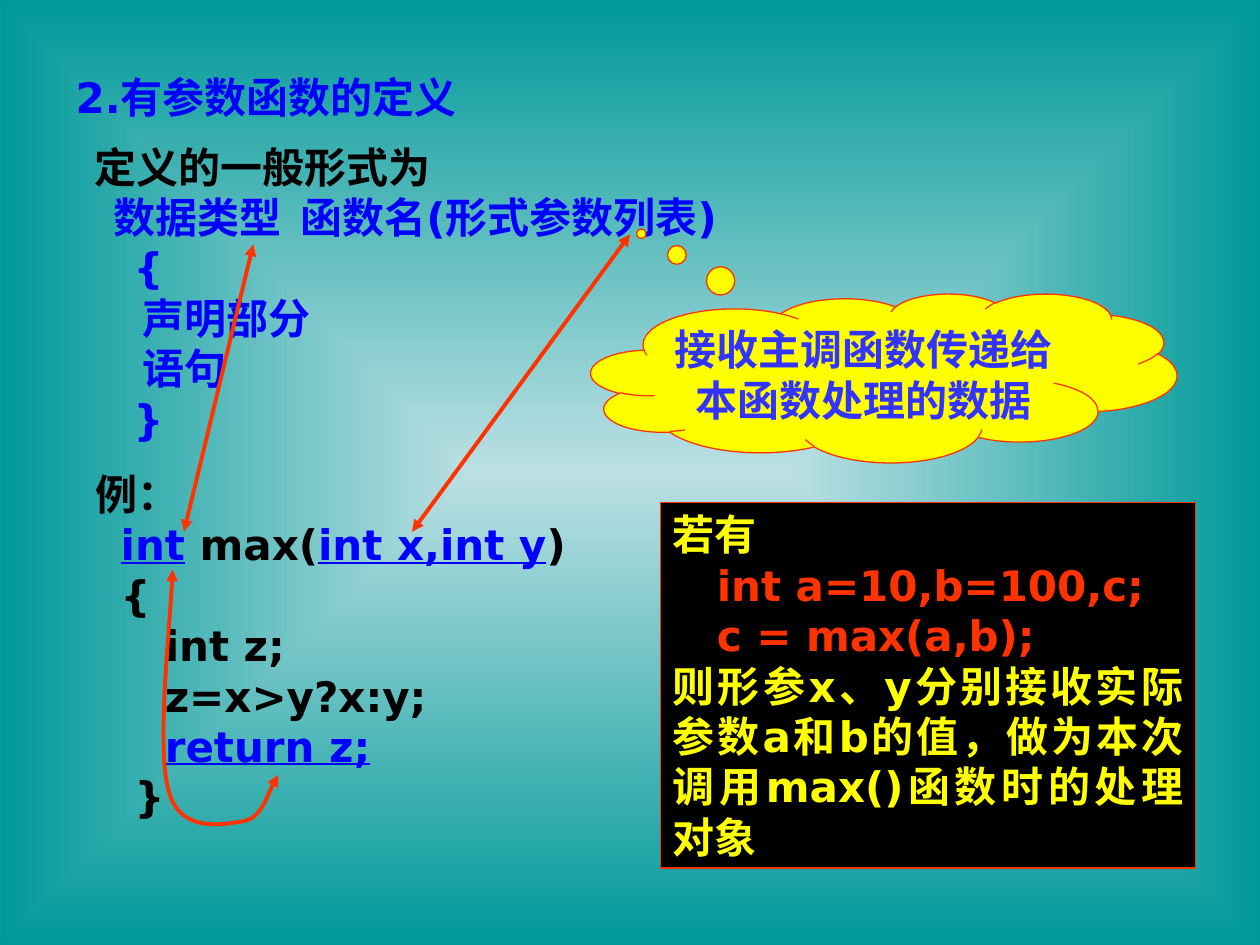
"""Slide on defining functions with parameters in C."""
import lxml.etree
import pptx
import pptx.dml.color
import pptx.enum.shapes
import pptx.enum.text
import pptx.oxml.ns
import pptx.util

Inches = pptx.util.Inches
Pt = pptx.util.Pt
qn = pptx.oxml.ns.qn
SHAPE = pptx.enum.shapes.MSO_SHAPE
ALIGN = pptx.enum.text.PP_ALIGN
ANCHOR = pptx.enum.text.MSO_ANCHOR
BLACK, BLUE, RED, YELLOW = "000000", "0000FF", "FF3300", "FFFF00"


def rgb(value):
    return pptx.dml.color.RGBColor.from_string(value)


def apply(obj, values):
    for name, value in values.items():
        setattr(obj, name, value)


class Deck:
    """Holds the text style and the current slide."""
    font = {"name": "DejaVu Sans", "size": Pt(24), "bold": True}
    frame = {"word_wrap": True, "auto_size": pptx.enum.text.MSO_AUTO_SIZE.NONE,
             "vertical_anchor": ANCHOR.TOP}

    def __init__(self, prs):
        self.s = prs.slides.add_slide(prs.slide_layouts[1])

    def background(self, inner, outer):
        fill = self.s.background.fill
        fill.gradient()
        for stop, color in zip(fill.gradient_stops, (inner, outer)):
            stop.color.rgb = rgb(color)
        grad = next(self.s.element.iter(qn("a:gradFill")))
        grad.remove(grad.find(qn("a:lin")))
        shade = lxml.etree.SubElement(grad, qn("a:path"), {"path": "rect"})
        lxml.etree.SubElement(shade, qn("a:fillToRect"),
                              dict.fromkeys("ltrb", "50000"))

    def add_lines(self, sp, lines, **frame):
        """Fill a shape with lines of (indent, runs, optional alignment)."""
        tf = sp.text_frame
        apply(tf, {**self.frame, **frame})
        for i, (indent, runs, *align) in enumerate(lines):
            p = tf.add_paragraph() if i else tf.paragraphs[0]
            apply(p, {"alignment": align[0] if align else ALIGN.LEFT,
                      "space_before": Pt(0)})
            pPr = p._p.get_or_add_pPr()
            pPr.set("marL", str(Inches(indent)))
            pPr.set("indent", "0")
            lxml.etree.SubElement(pPr, qn("a:buNone"))
            for text, color, *underline in runs:
                r = p.add_run()
                r.text = text
                apply(r.font, {**self.font, "underline": bool(underline)})
                r.font.color.rgb = rgb(color)

    def placeholder(self, idx, box, lines, **frame):
        sp = self.s.placeholders[idx]
        apply(sp, dict(zip(("left", "top", "width", "height"), map(Inches, box))))
        self.add_lines(sp, lines, **frame)

    def textbox(self, box, lines):
        self.add_lines(self.s.shapes.add_textbox(*map(Inches, box)), lines)

    def shape(self, kind, box, fill, lines, adjustments=(), **frame):
        sp = self.s.shapes.add_shape(kind, *map(Inches, box))
        sp.shadow.inherit = False
        for i, value in enumerate(adjustments):
            sp.adjustments[i] = value
        sp.fill.solid()
        sp.fill.fore_color.rgb = rgb(fill)
        sp.line.width = Pt(0.75)
        sp.line.color.rgb = rgb(RED)
        self.add_lines(sp, lines, **frame)

    def arrowheads(self, sp):
        sp.line.color.rgb = rgb(RED)
        sp.line.width = Pt(2.25)
        ln = sp.element.spPr.find(qn("a:ln"))
        for end in ("a:headEnd", "a:tailEnd"):
            lxml.etree.SubElement(ln, qn(end), type="triangle")

    def arrow(self, *ends):
        sp = self.s.shapes.add_connector(
            pptx.enum.shapes.MSO_CONNECTOR.STRAIGHT, *map(Inches, ends))
        self.arrowheads(sp)
        lxml.etree.SubElement(sp.element.spPr, qn("a:effectLst"))

    def curve(self, points):
        """Draw a chain of cubic curves: a start, then three points for each."""
        start, *rest = [tuple(map(Inches, point)) for point in points]
        builder = self.s.shapes.build_freeform(*start)
        builder.add_line_segments(rest, close=False)
        sp = builder.convert_to_shape()
        sp.shadow.inherit = False
        sp.fill.background()
        steps = list(sp.element.iter(qn("a:lnTo")))
        for i in range(0, len(steps), 3):
            bend = lxml.etree.Element(qn("a:cubicBezTo"))
            steps[i].addprevious(bend)
            for step in steps[i:i + 3]:
                bend.append(step[0])
                step.getparent().remove(step)
        self.arrowheads(sp)


def main():
    prs = pptx.Presentation()
    apply(prs, {"slide_width": Inches(10), "slide_height": Inches(7.5)})
    deck = Deck(prs)
    deck.background("BBE0E3", "009999")
    deck.placeholder(0, (0.5, 0.52, 9, 0.5), [(0, [("2.有参数函数的定义", BLUE)])],
                     vertical_anchor=ANCHOR.MIDDLE)
    deck.placeholder(1, (0.5, 1.07, 9, 2.5), [
        (0.15, [("定义的一般形式为", BLACK)]),
        (0.3, [("数据类型  函数名(形式参数列表)", BLUE)]),
        (0.46, [("{", BLUE)]),
        (0.53, [("声明部分", BLUE)]),
        (0.53, [("语句", BLUE)]),
        (0.46, [("}", BLUE)])])
    deck.shape(SHAPE.CLOUD_CALLOUT, (4.69, 2.33, 4.65, 1.34), YELLOW,
               [(0, [("接收主调函数传递给本函数处理的数据", "3333FF")], ALIGN.CENTER)],
               (-0.414, -0.854), vertical_anchor=ANCHOR.MIDDLE,
               margin_left=0, margin_right=0)
    deck.textbox((0.51, 3.67, 4.17, 2.9), [
        (0.15, [("例：", BLACK)]),
        (0.35, [("int", BLUE, True), (" max(", BLACK),
                ("int x,int y", BLUE, True), (")", BLACK)]),
        (0.35, [("{", BLACK)]),
        (0.7, [("int z;", BLACK)]),
        (0.7, [("z=x>y?x:y;", BLACK)]),
        (0.7, [("return z;", BLUE, True)]),
        (0.46, [("}", BLACK)])])
    deck.shape(SHAPE.RECTANGLE, (5.24, 3.99, 4.25, 2.9), BLACK, [
        (0, [("若有", YELLOW)]),
        (0.35, [("int a=10,b=100,c;", RED)]),
        (0.35, [("c = max(a,b);", RED)]),
        (0, [("则形参x、y分别接收实际参数a和b的值，做为本次调用max()函数时的处理对象",
              YELLOW)], ALIGN.JUSTIFY)])
    deck.arrow(3.27, 4.22, 5, 1.86)
    deck.arrow(1.46, 4.22, 2.01, 1.94)
    deck.curve([(2.21, 6.15), (2.16, 6.21), (2.07, 6.5), (1.92, 6.52),
                (1.78, 6.54), (1.43, 6.62), (1.34, 6.28),
                (1.24, 5.95), (1.36, 4.89), (1.37, 4.52)])
    prs.save("out.pptx")


if __name__ == "__main__":
    main()
